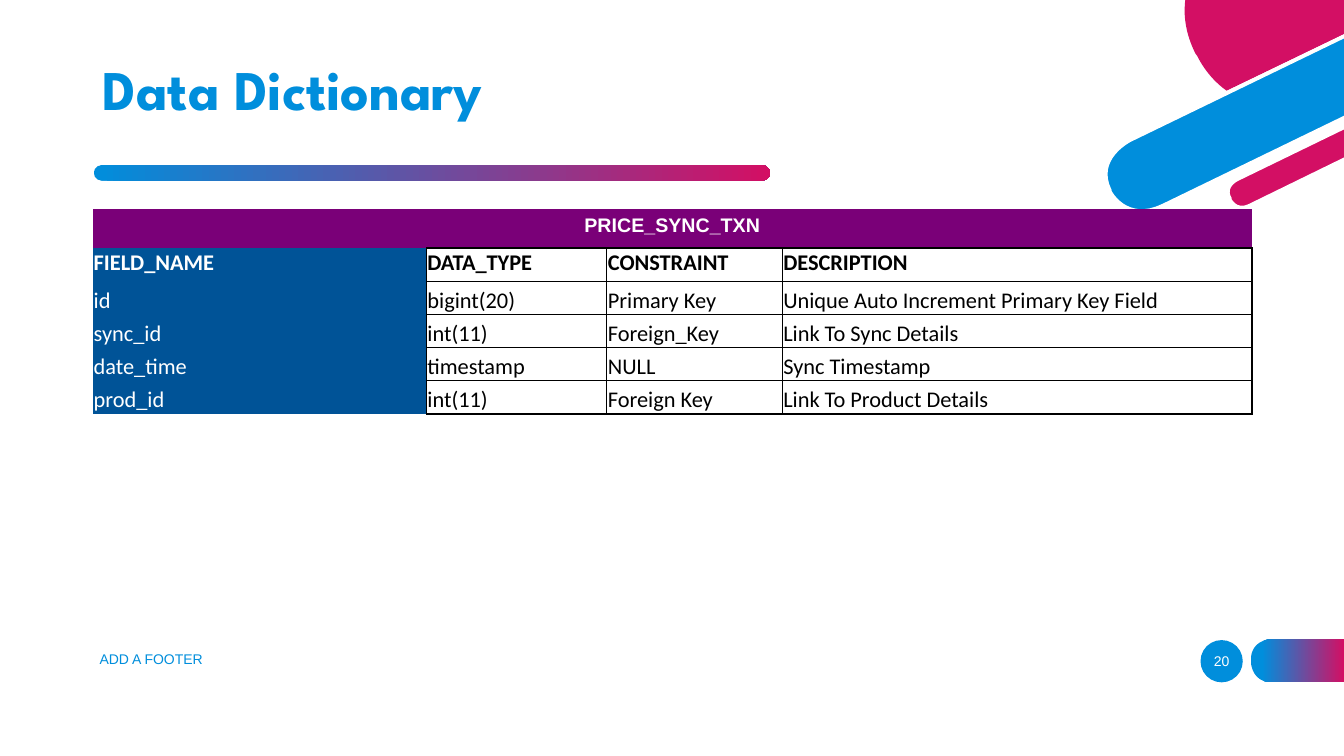
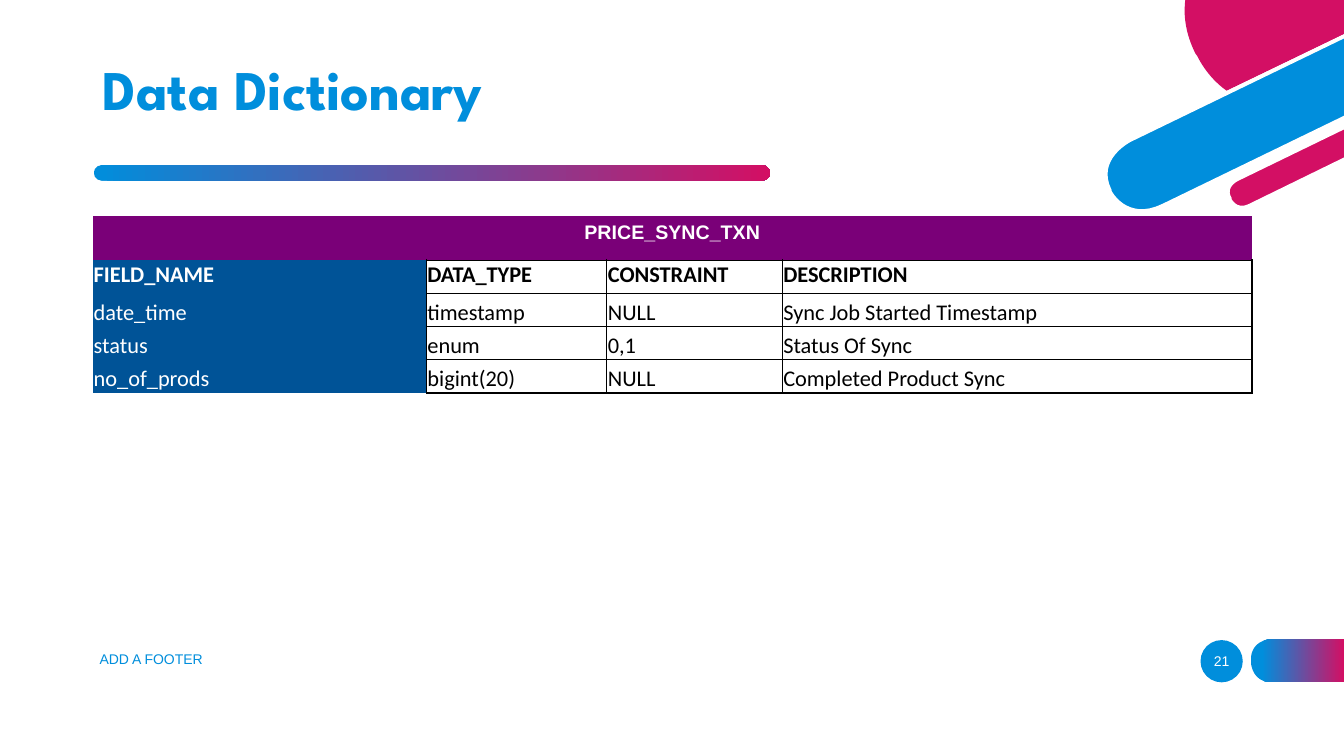
import pptx
import pptx.dml.color
import pptx.enum.shapes
import pptx.enum.text
import pptx.oxml.ns
import pptx.util
from lxml import etree

Pt = pptx.util.Pt
rgb = pptx.dml.color.RGBColor.from_string
qn = pptx.oxml.ns.qn
ALIGN = pptx.enum.text.PP_ALIGN
ANCHOR = pptx.enum.text.MSO_ANCHOR
SHAPE = pptx.enum.shapes.MSO_SHAPE

BLUE, PINK, WHITE, BLACK = "008EDC", "D30F64", "FFFFFF", "000000"
PURPLE, NAVY = "7A0078", "005397"
NO_STYLE = "{2D5ABB26-0587-4C30-8999-92F81FD0307C}"

TITLE_FONT = {"name": "League Spartan", "size": Pt(40), "bold": True}
FOOTER_FONT = {"name": "Arial", "size": Pt(10)}
CAPTION_FONT = {"name": "Arial", "size": Pt(14), "bold": True}
HEADING_FONT = {"name": "Calibri", "size": Pt(16), "bold": True}
FIELD_FONT = {"name": "Calibri", "size": Pt(16), "bold": False}

# Outlines in points: a pair is a corner, six numbers are a Bezier curve.
DISC = [(855.4, 40.3), (855.4, 40.3, 861.8, 54.7, 876.2, 64.8), (960, 24.5),
        (960, 0), (846.7, 0), (845.3, 10.8, 846.7, 23.8, 853.9, 38.2)]
WIDE_BAR = [(807.1, 100.1), (807.1, 100.1, 781.2, 113, 792.7, 136.1), (792.7, 136.8),
            (792.7, 136.8, 804.2, 159.8, 830.9, 146.9), (964, 82.3), (964, 24)]
THIN_BAR = [(883.4, 128.2), (883.4, 128.2, 873.4, 133.2, 878.4, 141.8), (878.4, 142.6),
            (878.4, 142.6, 882.7, 151.9, 892.8, 146.9), (964, 112.1), (964, 89)]
PAGE_TAB = [(908.6, 456.5), (908.6, 456.5, 893.5, 456.5, 893.5, 471.6), (893.5, 472.3),
            (893.5, 472.3, 893.5, 487.4, 908.6, 487.4), (960, 487.4), (960, 456.5)]

COLUMN_WIDTHS = [238.4, 128.9, 125.3, 335.5]
ROW_HEIGHT = 23.75
HEADINGS = ["FIELD_NAME", "DATA_TYPE", "CONSTRAINT", "DESCRIPTION"]
PAGES = [
    {"number": "20", "top": 149, "caption_height": 28.1, "fields": [
        ["id", "bigint(20)", "Primary Key", "Unique Auto Increment Primary Key Field"],
        ["sync_id", "int(11)", "Foreign_Key", "Link To Sync Details"],
        ["date_time", "timestamp", "NULL", "Sync Timestamp"],
        ["prod_id", "int(11)", "Foreign Key", "Link To Product Details"]]},
    {"number": "21", "top": 154.1, "caption_height": 31.7, "fields": [
        ["date_time", "timestamp", "NULL", "Sync Job Started Timestamp"],
        ["status", "enum", "0,1", "Status Of Sync"],
        ["no_of_prods", "bigint(20)", "NULL", "Completed Product Sync"]]},
]


def trace(shapes, outline, steps=16):
    """Draw a closed freeform, sampling its Bezier curves."""
    points = [outline[0]]
    for segment in outline[1:]:
        if len(segment) == 2:
            points.append(segment)
            continue
        (x0, y0), (x1, y1, x2, y2, x3, y3) = points[-1], segment
        for step in range(1, steps + 1):
            t = step / steps
            weights = ((1 - t) ** 3, 3 * t * (1 - t) ** 2, 3 * t * t * (1 - t), t ** 3)
            points.append((sum(w * x for w, x in zip(weights, (x0, x1, x2, x3))),
                           sum(w * y for w, y in zip(weights, (y0, y1, y2, y3)))))
    corners = [(Pt(x), Pt(y)) for x, y in points]
    builder = shapes.build_freeform(*corners[0])
    builder.add_line_segments(corners[1:], close=True)
    return builder.convert_to_shape()


def write(frame, text, colour, font, align=ALIGN.LEFT):
    paragraph = frame.paragraphs[0]
    paragraph.alignment = align
    run = paragraph.add_run()
    run.text = text
    for key, value in font.items():
        setattr(run.font, key, value)
    run.font.color.rgb = rgb(colour)
    return paragraph


deck = pptx.Presentation()
deck.slide_width, deck.slide_height = Pt(960), Pt(540)

for page in PAGES:
    slide = deck.slides.add_slide(deck.slide_layouts[5])
    shapes = slide.shapes

    # Corner, rule and page marker
    disc = trace(shapes, DISC)
    wide_bar = trace(shapes, WIDE_BAR)
    thin_bar = trace(shapes, THIN_BAR)
    page_tab = trace(shapes, PAGE_TAB)
    page_dot = shapes.add_shape(SHAPE.OVAL, Pt(857.5), Pt(457.2), Pt(30.2), Pt(30.2))
    rule = shapes.add_shape(SHAPE.ROUNDED_RECTANGLE, Pt(67), Pt(118), Pt(483), Pt(11))
    rule.adjustments[0] = 0.5
    for part, colour in ((disc, PINK), (wide_bar, BLUE), (thin_bar, PINK),
                         (page_dot, BLUE), (page_tab, BLUE), (rule, BLUE)):
        part.shadow.inherit = False
        part.fill.solid()
        part.fill.fore_color.rgb = rgb(colour)
        part.line.fill.background()
    for bar in (wide_bar, thin_bar):
        bar.line.color.rgb = rgb(WHITE)
        bar.line.width = Pt(2.75)

    # Title
    title = shapes.title
    title.left, title.top, title.width, title.height = Pt(66.2), Pt(28.8), Pt(712.8), Pt(74.2)
    title.text_frame.vertical_anchor = ANCHOR.MIDDLE
    title.text_frame.auto_size = pptx.enum.text.MSO_AUTO_SIZE.NONE
    heading = write(title.text_frame, "Data Dictionary", BLUE, TITLE_FONT)
    heading.line_spacing = 0.9

    for fill, start in ((heading.runs[0].font.fill, 0), (rule.fill, 0), (page_tab.fill, 0.12)):
        fill.gradient()
        fill.gradient_angle = 0
        for stop, position, colour in zip(fill.gradient_stops, (start, 1), (BLUE, PINK)):
            stop.position = position
            stop.color.rgb = rgb(colour)

    # Footer and page number
    for text, colour, align, left, top, width in (
            ("ADD A FOOTER", BLUE, ALIGN.LEFT, 64.1, 456.5, 324),
            (page["number"], WHITE, ALIGN.CENTER, 851, 457.9, 43.2)):
        frame = shapes.add_textbox(Pt(left), Pt(top), Pt(width), Pt(28.8)).text_frame
        frame.word_wrap = True
        frame.vertical_anchor = ANCHOR.MIDDLE
        write(frame, text, colour, FOOTER_FONT, align).space_after = Pt(6)

    # Field table
    rows = [HEADINGS] + page["fields"]
    heights = [page["caption_height"]] + [ROW_HEIGHT] * len(rows)
    table = shapes.add_table(len(heights), len(HEADINGS), Pt(66.2), Pt(page["top"]),
                             Pt(sum(COLUMN_WIDTHS)), Pt(sum(heights))).table
    table.first_row = table.horz_banding = False
    table._tbl.tblPr.find(qn("a:tableStyleId")).text = NO_STYLE
    for column, width in zip(table.columns, COLUMN_WIDTHS):
        column.width = Pt(width)
    for row, height in zip(table.rows, heights):
        row.height = Pt(height)

    caption = table.cell(0, 0)
    caption.merge(table.cell(0, len(HEADINGS) - 1))
    caption.fill.solid()
    caption.fill.fore_color.rgb = rgb(PURPLE)
    caption.margin_left = caption.margin_right = Pt(8.6)
    caption.margin_top = caption.margin_bottom = Pt(4.3)
    write(caption.text_frame, "PRICE_SYNC_TXN", WHITE, CAPTION_FONT, ALIGN.CENTER)

    for r, values in enumerate(rows, start=1):
        for c, value in enumerate(values):
            cell = table.cell(r, c)
            cell.margin_left = cell.margin_right = cell.margin_top = Pt(0.75)
            cell.margin_bottom = 0
            cell.vertical_anchor = ANCHOR.TOP if r == 1 else ANCHOR.BOTTOM
            for side in ("R",) if c == 0 else ("L", "R", "T", "B"):
                border = etree.SubElement(cell._tc.get_or_add_tcPr(), qn("a:ln" + side), w=str(Pt(1)))
                stroke = etree.SubElement(border, qn("a:solidFill"))
                etree.SubElement(stroke, qn("a:srgbClr"), val=BLACK)
            if c == 0:
                cell.fill.solid()
                cell.fill.fore_color.rgb = rgb(NAVY)
            else:
                cell.fill.background()
            write(cell.text_frame, value, WHITE if c == 0 else BLACK,
                  HEADING_FONT if r == 1 else FIELD_FONT)

deck.save("out.pptx")
